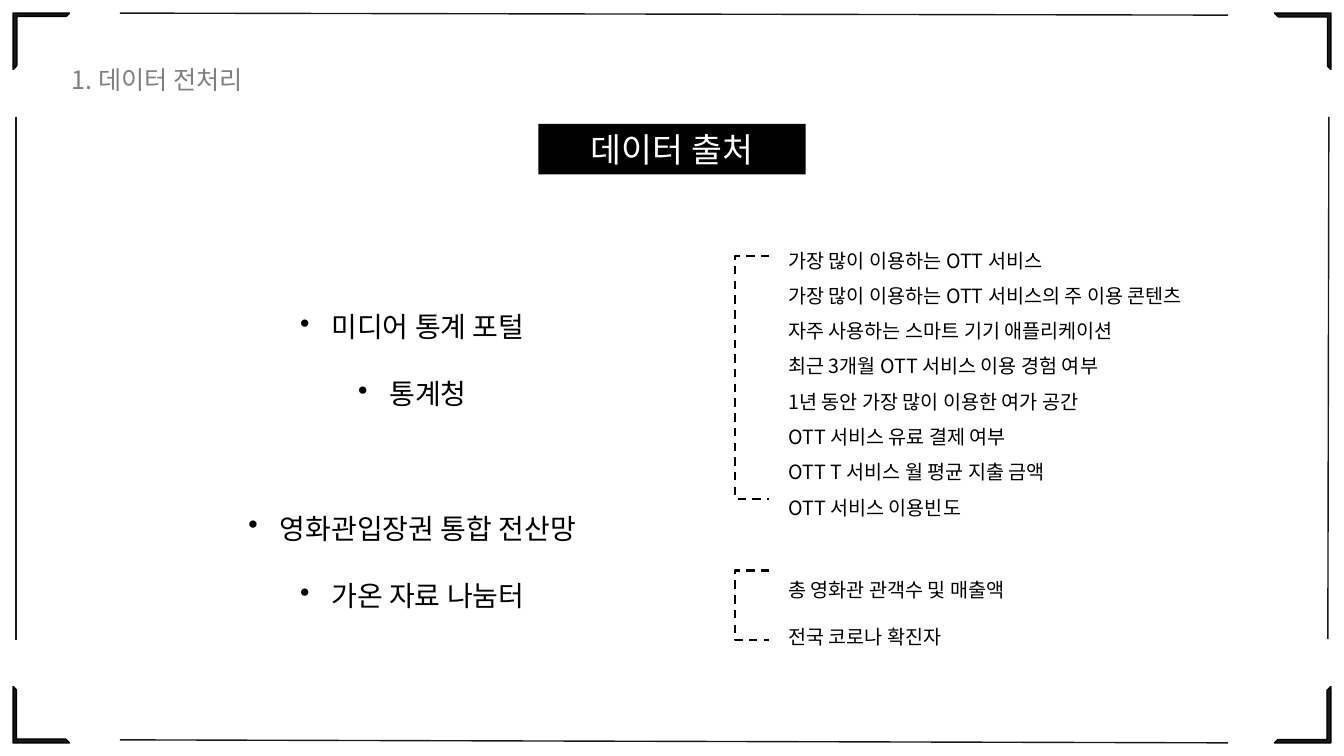
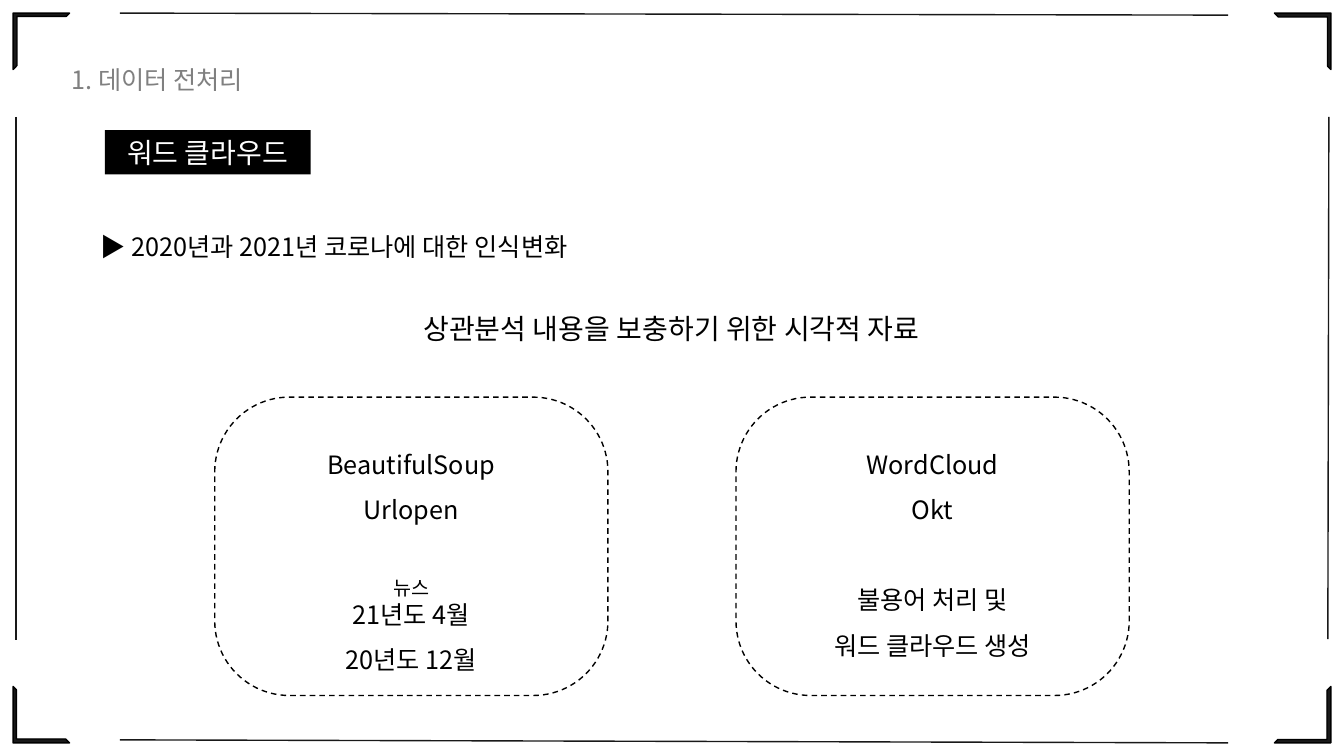
"""Build two slides on data preparation inside a shared corner frame."""
from lxml import etree
from pptx import Presentation
from pptx.dml.color import RGBColor
from pptx.enum.dml import MSO_LINE
from pptx.enum.shapes import MSO_CONNECTOR, MSO_SHAPE
from pptx.enum.text import MSO_ANCHOR, MSO_AUTO_SIZE, PP_ALIGN
from pptx.oxml.ns import qn
from pptx.util import Pt

PX = 9144
FONT = "Noto Sans CJK KR"
BLACK, WHITE, GRAY, EDGE = "000000", "FFFFFF", "808080", "191919"
LEFT, MID = PP_ALIGN.LEFT, PP_ALIGN.CENTER
TOP, CENTER = MSO_ANCHOR.TOP, MSO_ANCHOR.MIDDLE
FIXED = MSO_AUTO_SIZE.NONE
DASH = MSO_LINE.DASH
STRAIGHT = MSO_CONNECTOR.STRAIGHT
CORNER, CARD = MSO_SHAPE.HALF_FRAME, MSO_SHAPE.ROUNDED_RECTANGLE


def paint(fill, color):
    fill.solid()
    fill.fore_color.rgb = RGBColor.from_string(color)


def write(shape, lines, size, color=BLACK, align=LEFT, pitch=1.0, anchor=TOP):
    frame = shape.text_frame
    frame.text = "\n".join(lines)
    frame.word_wrap = True
    frame.auto_size = FIXED
    frame.vertical_anchor = anchor
    for par in frame.paragraphs:
        par.alignment = align
        par.line_spacing = pitch
        for run in par.runs:
            run.font.size = Pt(size)
            run.font.name = FONT
            paint(run.font.fill, color)
            east = etree.SubElement(run.font.fill._xPr, qn("a:ea"))
            east.set("typeface", FONT)
    return frame.paragraphs


deck = Presentation()
deck.slide_width, deck.slide_height = 1333 * PX, 750 * PX
layout = deck.slide_layouts[5]
source, cloud = [deck.slides.add_slide(layout) for _ in range(2)]

frame = []
for turn, (x, y) in enumerate([(13, 13), (1264, 13), (1264, 681), (13, 681)]):
    corner = source.shapes.add_shape(CORNER, x * PX, y * PX, 56 * PX, 56 * PX)
    corner.rotation = 90 * turn
    corner.adjustments[0], corner.adjustments[1] = 0.06, 0.07
    corner.shadow.inherit = False
    paint(corner.fill, BLACK)
    shade = corner.element.spPr.find(qn("a:solidFill"))[0]
    etree.SubElement(shade, qn("a:alpha")).set("val", "90000")
    paint(corner.line.fill, BLACK)
    corner.line.width = Pt(1)
    frame.append(corner)

for ends in [(16, 116, 16, 635), (1318, 116, 1317, 634),
             (119, 13, 1218, 15), (119, 734, 1218, 737)]:
    edge = source.shapes.add_connector(STRAIGHT, *[n * PX for n in ends])
    paint(edge.line.fill, EDGE)
    edge.line.width = Pt(1)
    etree.SubElement(edge.element.spPr, qn("a:effectLst"))
    frame.append(edge)

for num, part in enumerate(frame, 100):
    part.element.xpath(".//p:cNvPr")[0].set("id", str(num))
    layout.shapes.element.append(part.element)

for slide, name, size, box in [
    (source, "데이터 출처", 24, (534, 123, 265, 50)),
    (cloud, "워드 클라우드", 20, (104, 129, 204, 44)),
]:
    title = slide.shapes.title
    title.left, title.top, title.width, title.height = [n * PX for n in box]
    paint(title.fill, BLACK)
    write(title, [name], size, WHITE, MID, anchor=CENTER)
    head = slide.shapes.add_textbox(61 * PX, 59 * PX, 240 * PX, 40 * PX)
    write(head, ["1. 데이터 전처리"], 18, GRAY)

sites = source.shapes.add_textbox(213 * PX, 269 * PX, 392 * PX, 338 * PX)
pars = write(sites, ["미디어 통계 포털", "통계청", "영화관입장권 통합 전산망",
                     "가온 자료 나눔터"], 20, align=MID, pitch=2.0)
pars[2].space_before = Pt(48)
for par in pars:
    props = par._p.get_or_add_pPr()
    props.set("marL", str(31 * PX))
    props.set("indent", str(-31 * PX))
    etree.SubElement(props, qn("a:buChar")).set("char", "•")

for top, base in [(254, 495), (566, 635)]:
    pen = source.shapes.build_freeform(763, top, scale=PX)
    pen.add_line_segments([(729, top), (729, base), (763, base)], close=False)
    brace = pen.convert_to_shape()
    brace.shadow.inherit = False
    brace.fill.background()
    paint(brace.line.fill, BLACK)
    brace.line.width = Pt(1.5)
    brace.line.dash_style = DASH

items = source.shapes.add_textbox(772 * PX, 230 * PX, 536 * PX, 417 * PX)
pars = write(items, [
    "가장 많이 이용하는 OTT 서비스",
    "가장 많이 이용하는 OTT 서비스의 주 이용 콘텐츠",
    "자주 사용하는 스마트 기기 애플리케이션",
    "최근 3개월 OTT 서비스 이용 경험 여부",
    "1년 동안 가장 많이 이용한 여가 공간",
    "OTT 서비스 유료 결제 여부",
    "OTT T 서비스 월 평균 지출 금액",
    "OTT 서비스 이용빈도",
    "총 영화관 관객수 및 매출액",
    "전국 코로나 확진자",
], 14, pitch=1.5)
pars[8].space_before = Pt(25)
for par in pars[8:]:
    par.line_spacing = 2.0

topic = cloud.shapes.add_textbox(90 * PX, 210 * PX, 534 * PX, 60 * PX)
write(topic, ["▶ 2020년과 2021년 코로나에 대한 인식변화"], 18, pitch=1.5)
aim = cloud.shapes.add_textbox(140 * PX, 287 * PX, 1052 * PX, 57 * PX)
write(aim, ["상관분석 내용을 보충하기 위한 시각적 자료"], 20, align=MID, pitch=1.5)

cards = []
for x, lines, gap in [
    (213, ["BeautifulSoup", "Urlopen", "뉴스", "21년도 4월", "20년도 12월"], 28),
    (730, ["WordCloud", "Okt", "불용어 처리 및", "워드 클라우드 생성"], 32),
]:
    card = cloud.shapes.add_shape(CARD, x * PX, 394 * PX, 390 * PX, 296 * PX)
    card.adjustments[0] = 0.25
    card.shadow.inherit = False
    card.fill.background()
    paint(card.line.fill, BLACK)
    card.line.width = Pt(1)
    card.line.dash_style = DASH
    pars = write(card, lines, 18, align=MID, pitch=1.5)
    card.text_frame.margin_top = 15 * PX
    pars[2].space_before = Pt(gap)
    cards.append(pars)

news, month = cards[0][2:4]
news.runs[0].font.size = Pt(14)
month.line_spacing = 1.0

deck.save("out.pptx")
